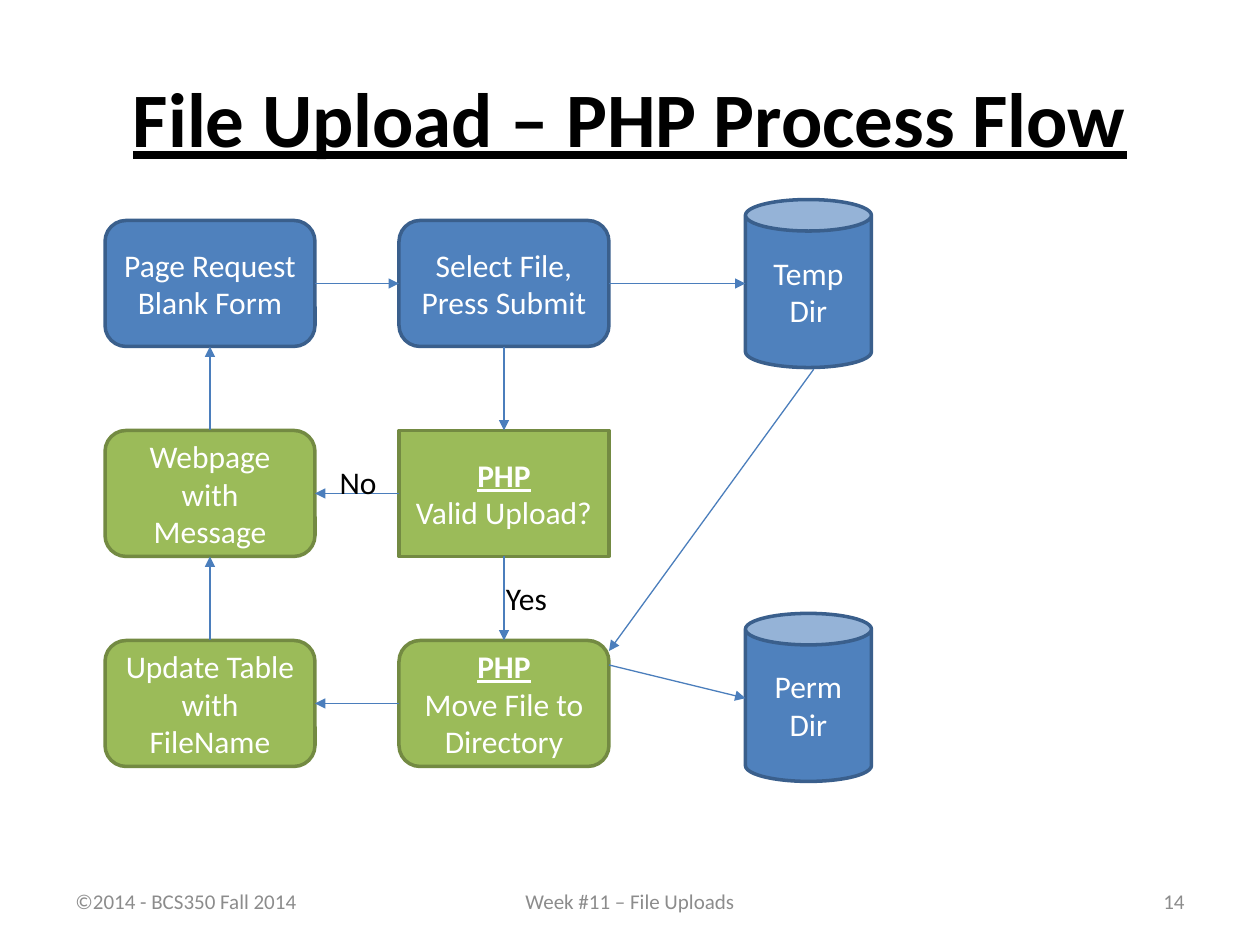
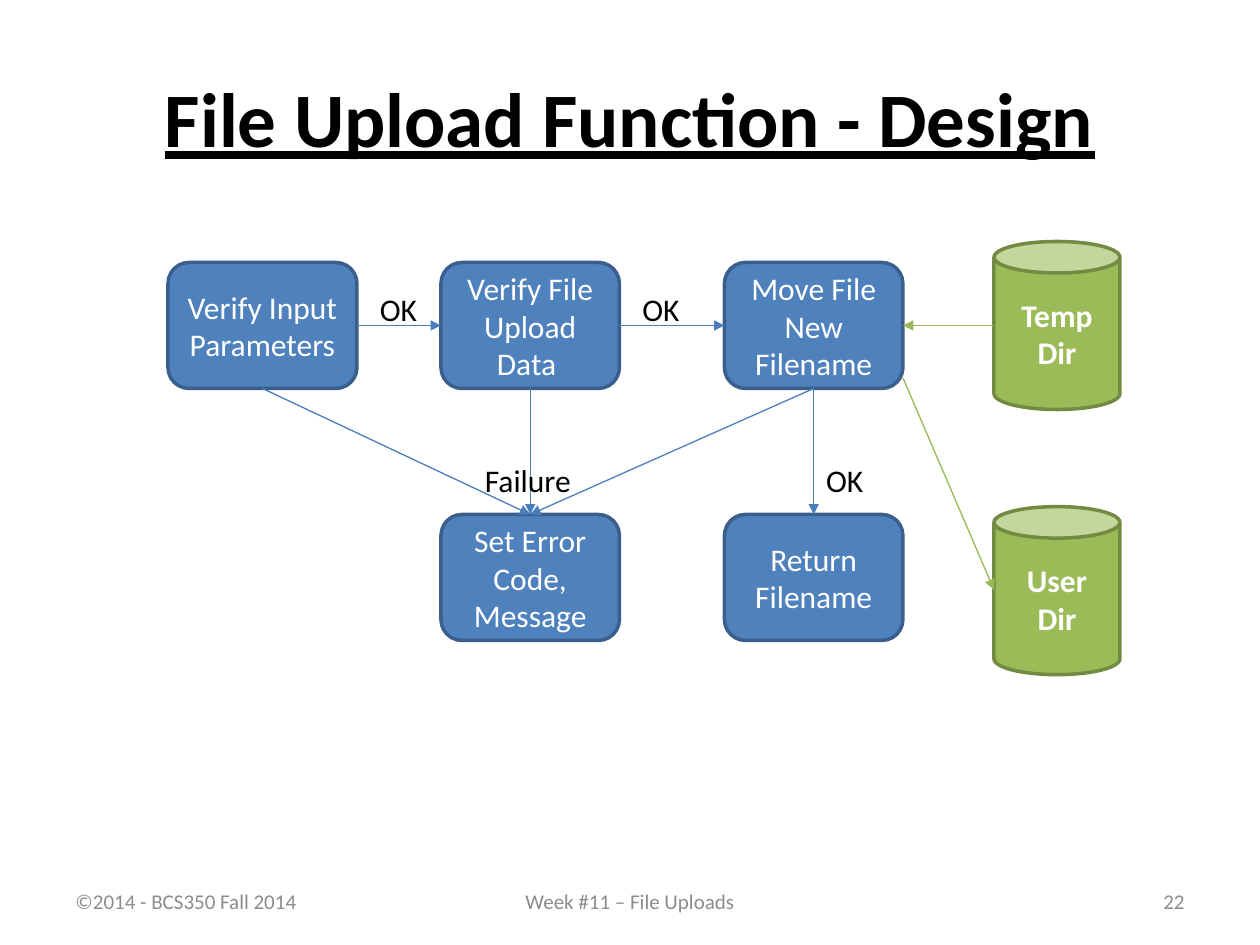
import pptx
import pptx.util
import pptx.dml.color
import pptx.enum.shapes
import pptx.enum.text
import pptx.oxml.ns
import lxml.etree
from dataclasses import dataclass

Pt = pptx.util.Pt
RGB = pptx.dml.color.RGBColor.from_string
MSO = pptx.enum.shapes.MSO_SHAPE
ALIGN = pptx.enum.text.PP_ALIGN
ANCHOR = pptx.enum.text.MSO_ANCHOR
TOP, LEFT, BOTTOM, RIGHT = range(4)


@dataclass(frozen=True)
class Theme:
    font: str = "Calibri"
    title_size: int = 44
    body_size: int = 18
    footer_size: int = 12
    text: str = "000000"
    footer: str = "8C8C8C"
    on_fill: str = "FFFFFF"
    blue: tuple = ("4F81BD", "3A5F8C")  # fill, outline
    green: tuple = ("9BBB59", "738A42")
    blue_arrow: str = "4B7EBC"
    green_arrow: str = "98B955"
    outline_width: float = 2
    arrow_width: float = 0.75


theme = Theme()


def add_text(sl, text, box, size=theme.body_size, color=theme.text, align=ALIGN.LEFT,
             anchor=ANCHOR.TOP, bold=False, geom=None, colors=None):
    """Add a text box, or a filled shape if geom is given; a "PHP" line is a heading."""
    box = [Pt(v) for v in box]
    if geom is None:
        sp = sl.shapes.add_textbox(*box)
    else:
        sp = sl.shapes.add_shape(geom, *box)
        sp.shadow.inherit = False
        sp.fill.solid()
        sp.fill.fore_color.rgb = RGB(colors[0])
        sp.line.color.rgb = RGB(colors[1])
        sp.line.width = Pt(theme.outline_width)
        color, align, anchor = theme.on_fill, ALIGN.CENTER, ANCHOR.MIDDLE
    tf = sp.text_frame
    tf.text = text
    tf.word_wrap = True
    tf.vertical_anchor = anchor
    for p in tf.paragraphs:
        p.alignment = align
        heading = p.text == "PHP"
        for r in p.runs:
            r.font.name = theme.font
            r.font.size = Pt(size)
            r.font.color.rgb = RGB(color)
            r.font.bold = bold or heading
            r.font.underline = heading
    return sp


def add_arrow(sl, start, end, color=theme.blue_arrow):
    """Draw an arrow; each end is (x, y) in points or (shape, side)."""
    on_shape = [not isinstance(e[0], (int, float)) for e in (start, end)]
    points = [(0, 0) if joined else e for e, joined in zip((start, end), on_shape)]
    cx = sl.shapes.add_connector(pptx.enum.shapes.MSO_CONNECTOR.STRAIGHT,
                                 *[Pt(v) for point in points for v in point])
    if on_shape[0]:
        cx.begin_connect(*start)
    if on_shape[1]:
        cx.end_connect(*end)
    cx.line.color.rgb = RGB(color)
    cx.line.width = Pt(theme.arrow_width)
    qn = pptx.oxml.ns.qn
    ln = cx.line.fill and cx._element.spPr.find(qn("a:ln"))
    lxml.etree.SubElement(ln, qn("a:tailEnd"), type="triangle")
    lxml.etree.SubElement(cx._element.spPr, qn("a:effectLst"))


prs = pptx.Presentation()
prs.slide_width, prs.slide_height = Pt(720), Pt(540)

# Titles and footers
slides = []
for title, number in [("File Upload – PHP Process Flow", "14"),
                      ("File Upload Function - Design", "22")]:
    sl = prs.slides.add_slide(prs.slide_layouts[6])
    sp = add_text(sl, title, (36, 21.6, 648, 90), theme.title_size, align=ALIGN.CENTER,
                  anchor=ANCHOR.MIDDLE, bold=True)
    sp.text_frame.paragraphs[0].runs[0].font.underline = True
    for text, x, w, align in [("©2014 - BCS350 Fall 2014", 36, 168, ALIGN.LEFT),
                              ("Week #11 – File Uploads", 246, 228, ALIGN.CENTER),
                              (number, 516, 168, ALIGN.RIGHT)]:
        add_text(sl, text, (x, 500.5, w, 28.75), theme.footer_size, theme.footer,
                 align, ANCHOR.MIDDLE)
    slides.append(sl)

box_h, can_w, can_h = 72, 72, 96
flow, design = slides

# Process flow: steps on a grid of two columns and three rows
steps = {}
for name, text, col, row, geom, colors in [
    ("request", "Page Request\nBlank Form", 0, 0, MSO.ROUNDED_RECTANGLE, theme.blue),
    ("select", "Select File,\nPress Submit", 1, 0, MSO.ROUNDED_RECTANGLE, theme.blue),
    ("message", "Webpage with Message", 0, 1, MSO.ROUNDED_RECTANGLE, theme.green),
    ("valid", "PHP\nValid Upload?", 1, 1, MSO.RECTANGLE, theme.green),
    ("update", "Update Table with FileName", 0, 2, MSO.ROUNDED_RECTANGLE, theme.green),
    ("move", "PHP\nMove File to Directory", 1, 2, MSO.ROUNDED_RECTANGLE, theme.green),
]:
    steps[name] = add_text(flow, text, (60 + 168 * col, 126 + 120 * row, 120, box_h),
                           geom=geom, colors=colors)
for text, y in [("Temp\nDir", 114), ("Perm\nDir", 350.5)]:
    add_text(flow, text, (426, y, can_w, can_h), geom=MSO.CAN, colors=theme.blue)

for start, side, end, end_side in [
    ("request", RIGHT, "select", LEFT),
    ("select", BOTTOM, "valid", TOP),
    ("valid", LEFT, "message", RIGHT),
    ("valid", BOTTOM, "move", TOP),
    ("move", LEFT, "update", RIGHT),
    ("update", TOP, "message", BOTTOM),
    ("message", TOP, "request", BOTTOM),
]:
    add_arrow(flow, (steps[start], side), (steps[end], end_side))
add_arrow(flow, (steps["select"], RIGHT), (426, 162))
add_arrow(flow, (465, 211), (348, 372))
add_arrow(flow, (348, 380), (426, 399))

# Function design: steps in two rows, directories at the right
parts = {}
for name, text, x, y, w in [
    ("input", "Verify Input Parameters", 96, 150, 108),
    ("upload", "Verify File Upload Data ", 252, 150, 102),
    ("move", "Move File\nNew Filename", 414, 150, 102),
    ("error", "Set Error Code, Message", 252, 294, 102),
    ("return", "Return Filename", 414, 294, 102),
]:
    parts[name] = add_text(design, text, (x, y, w, box_h),
                           geom=MSO.ROUNDED_RECTANGLE, colors=theme.blue)
for text, y in [("Temp\nDir", 138), ("User\nDir", 289.5)]:
    add_text(design, text, (568, y, can_w, can_h), bold=True, geom=MSO.CAN,
             colors=theme.green)

for start, end in [("input", "error"), ("upload", "error"), ("move", "error"),
                   ("move", "return")]:
    add_arrow(design, (parts[start], BOTTOM), (parts[end], TOP))
for start, end in [("input", "upload"), ("upload", "move")]:
    add_arrow(design, (parts[start], RIGHT), (parts[end], LEFT))
add_arrow(design, (568, 186), (parts["move"], RIGHT), theme.green_arrow)
add_arrow(design, (516, 216), (568, 337), theme.green_arrow)

# Branch labels
for sl, text, x, y, w in [
    (flow, "No", 187, 260.75, 36),
    (flow, "Yes", 282, 327.5, 48),
    (design, "Failure", 270, 260, 72),
    (design, "OK", 210, 162, 36),
    (design, "OK", 360, 162, 48),
    (design, "OK", 465, 260, 39),
]:
    add_text(sl, text, (x, y, w, 29))

prs.save("out.pptx")
